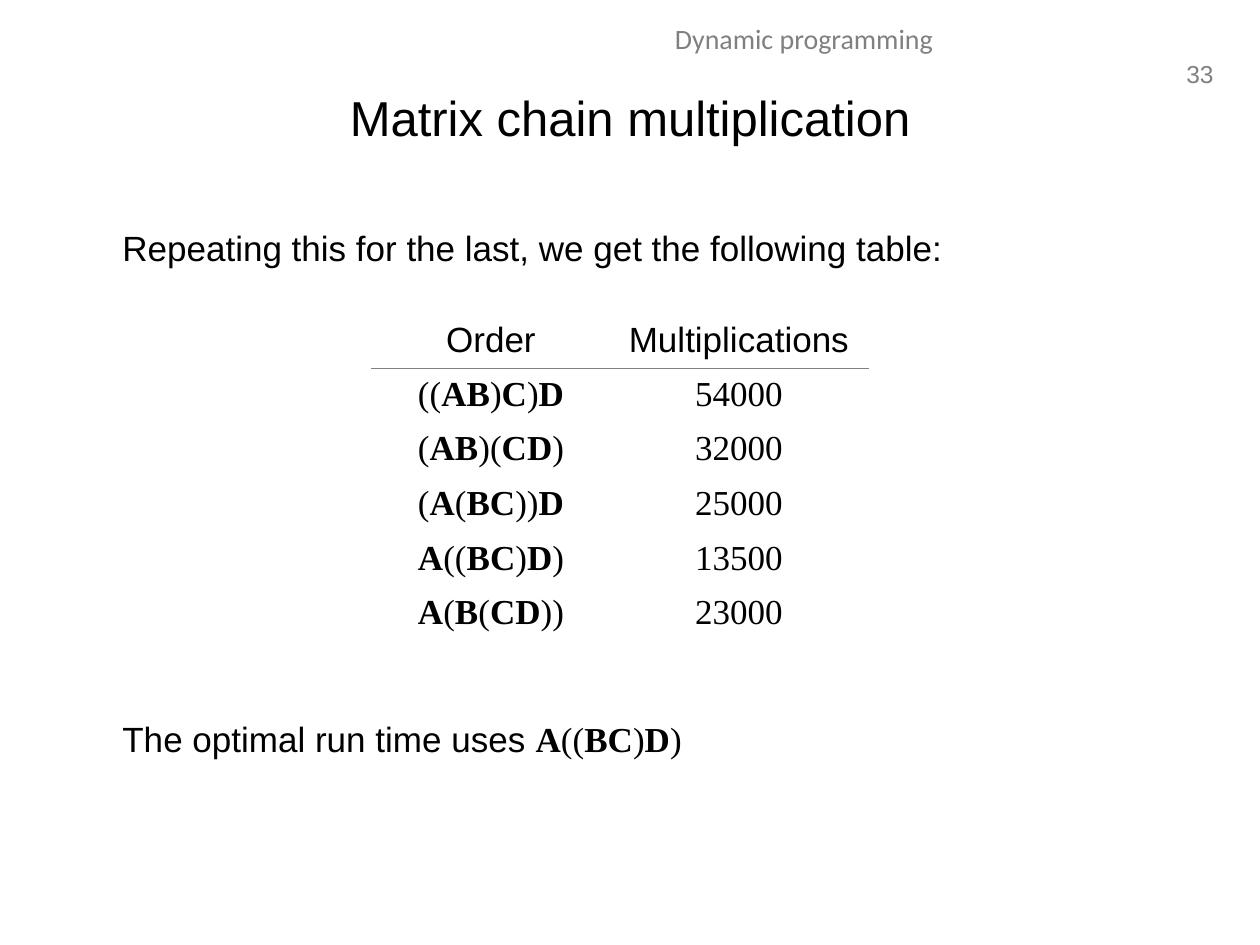
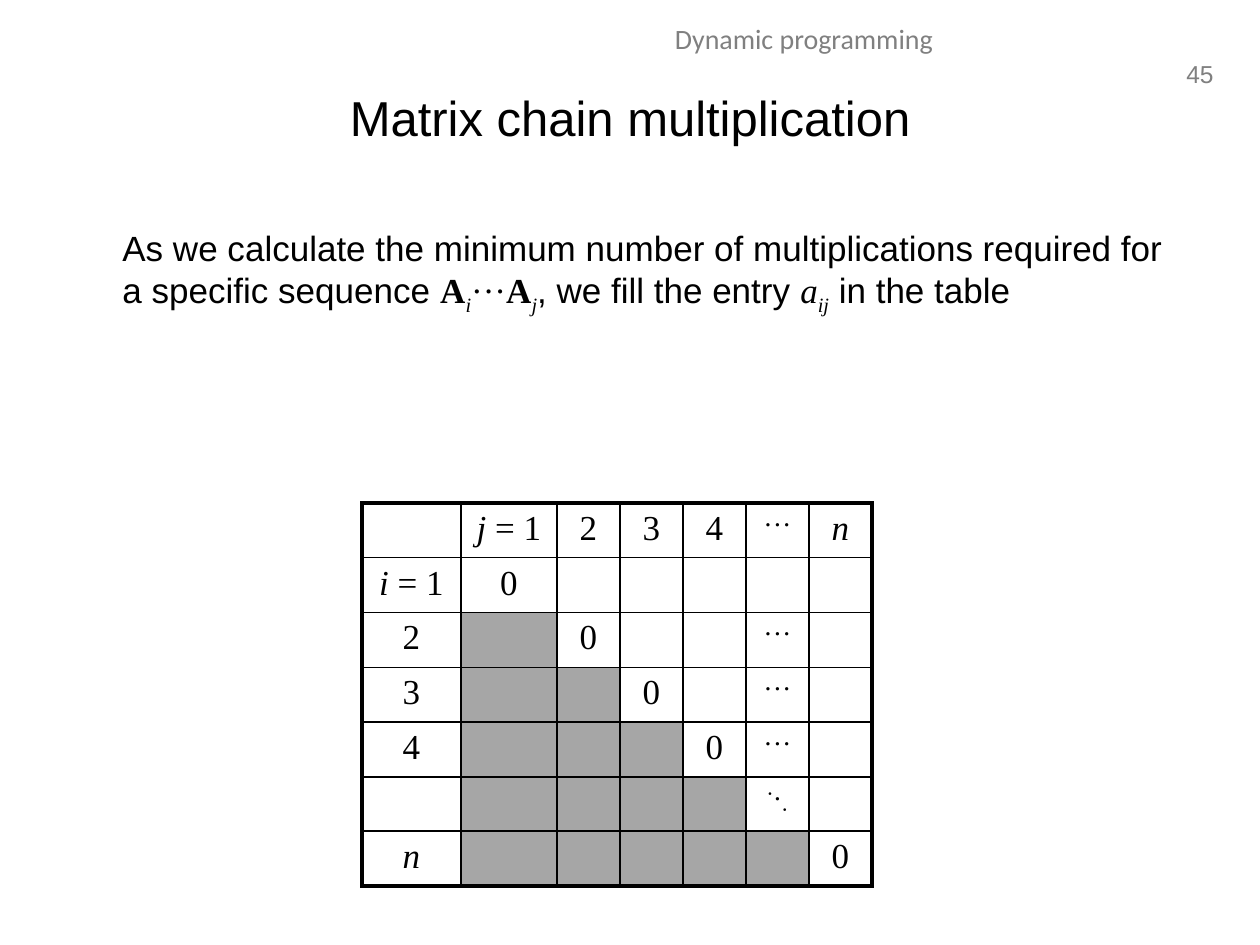
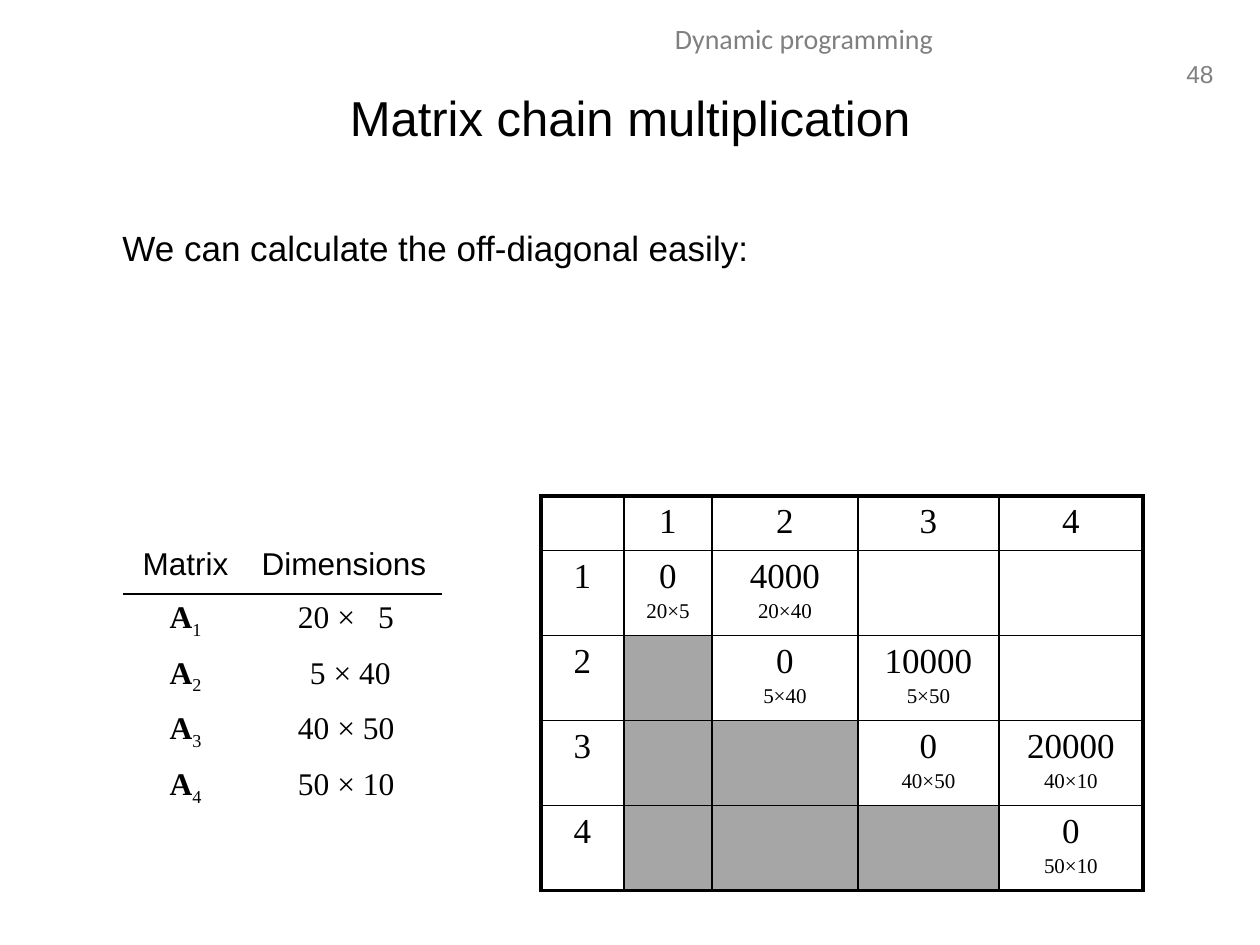
import itertools
from dataclasses import dataclass, field

import pptx
import pptx.dml.color
import pptx.enum.text
import pptx.oxml
import pptx.oxml.ns
import pptx.util

ALIGN = pptx.enum.text.PP_ALIGN
ANCHOR = pptx.enum.text.MSO_ANCHOR
EMU_PER_PX = 914400 / 126


def px(length):
    return pptx.util.Emu(round(length * EMU_PER_PX))


def text_format(name, size, colour="000000", baseline=0, **extra):
    font = {"name": name, "size": pptx.util.Pt(size), **extra}
    return {"font": font, "colour": colour, "baseline": baseline}


def serif(size, **extra):
    return text_format("Times New Roman", size, **extra)


@dataclass
class Theme:
    black: str = "000000"
    grey: str = "808080"
    blocked: str = "A6A6A6"
    thin: float = 1
    thick: float = 2.25
    formats: dict = field(default_factory=lambda: {
        "number": text_format("Arial", 14, "808080"),
        "header": text_format("Calibri", 16, "808080"),
        "title": text_format("Arial", 28),
        "body": text_format("Arial", 20),
        "label": text_format("Arial", 18),
        "math": serif(20),
        "bold": serif(20, bold=True),
        "italic": serif(20, italic=True),
        "subscript": serif(20, italic=True, baseline=-25),
        "dots": serif(16),
        "high dot": serif(16, bold=True, baseline=30),
        "low dot": serif(16, bold=True, baseline=-25),
        "dimension": serif(12),
        "small math": serif(18),
        "small bold": serif(18, bold=True),
        "small index": serif(18, baseline=-25),
    })


class Deck:
    """Holds the theme and the current slide, and draws each kind of element."""

    def __init__(self, theme):
        self.theme = theme
        self.presentation = pptx.Presentation()
        self.presentation.slide_width = px(1260)
        self.presentation.slide_height = px(945)
        self.slide = None

    def new_slide(self, number):
        layout = self.presentation.slide_layouts[6]
        self.slide = self.presentation.slides.add_slide(layout)
        self.text(1171, 53, 55, 42, [[(number, "number")]], ALIGN.RIGHT, word_wrap=False)
        self.text(402, 15, 804, 50, [[("Dynamic programming", "header")]], ALIGN.CENTER)
        self.text(63, 38, 1134, 158, [[("Matrix chain multiplication", "title")]],
                  ALIGN.CENTER, vertical_anchor=ANCHOR.MIDDLE)

    def fill_text(self, frame, paragraphs, align, gap):
        """Each paragraph is a list of (text, format name) runs."""
        for index, runs in enumerate(paragraphs):
            paragraph = frame.add_paragraph() if index else frame.paragraphs[0]
            paragraph.alignment = align
            if index:
                paragraph.space_before = pptx.util.Pt(gap)
            for text, name in runs:
                run = paragraph.add_run()
                run.text = text
                style = self.theme.formats[name]
                for attribute, value in style["font"].items():
                    setattr(run.font, attribute, value)
                run.font.color.rgb = pptx.dml.color.RGBColor.from_string(style["colour"])
                if style["baseline"]:
                    run._r.get_or_add_rPr().set("baseline", str(style["baseline"] * 1000))

    def text(self, left, top, width, height, paragraphs, align=ALIGN.LEFT, gap=0, **frame_format):
        shape = self.slide.shapes.add_textbox(px(left), px(top), px(width), px(height))
        for attribute, value in {"word_wrap": True, **frame_format}.items():
            setattr(shape.text_frame, attribute, value)
        self.fill_text(shape.text_frame, paragraphs, align, gap)

    def body(self, *paragraphs, gap=0):
        self.text(110, 220, 1087, 624, paragraphs, gap=gap)

    def table(self, left, top, columns, rows, contents):
        frame = self.slide.shapes.add_table(
            len(rows), len(columns), px(left), px(top), px(sum(columns)), px(sum(rows)))
        table = frame.table
        table.first_row = table.horz_banding = False
        for column, width in zip(table.columns, columns):
            column.width = px(width)
        for row, height in zip(table.rows, rows):
            row.height = px(height)
        for cell, paragraphs in zip(table.iter_cells(), itertools.chain(*contents)):
            self.fill_text(cell.text_frame, paragraphs, ALIGN.CENTER, 2.4)
            cell.fill.background()
        return table

    def border(self, cell, colour, **widths):
        """Widths are given by side, in the order L, R, T, B."""
        properties = cell._tc.get_or_add_tcPr()
        for index, (side, width) in enumerate(widths.items()):
            properties.insert(index, pptx.oxml.parse_xml(
                f'<a:ln{side} {pptx.oxml.ns.nsdecls("a")} w="{int(width * 12700)}">'
                f'<a:solidFill><a:srgbClr val="{colour}"/></a:solidFill></a:ln{side}>'))

    def ruled_table(self, left, top, columns, rows, contents, colour):
        """A table whose only line is under its header."""
        table = self.table(left, top, columns, rows, contents)
        for column in range(len(columns)):
            self.border(table.cell(0, column), colour, B=self.theme.thin)
            self.border(table.cell(1, column), colour, T=self.theme.thin)
        return table

    def cost_grid(self, left, top, columns, rows, contents):
        """A framed grid with the cells below the diagonal blocked out."""
        table = self.table(left, top, columns, rows, contents)
        thin, thick = self.theme.thin, self.theme.thick
        last_row, last_column = len(rows) - 1, len(columns) - 1
        for row, column in itertools.product(range(len(rows)), range(len(columns))):
            cell = table.cell(row, column)
            self.border(cell, self.theme.black,
                        L=thin if column else thick,
                        R=thin if column < last_column else thick,
                        T=thin if row else thick,
                        B=thin if row < last_row else thick)
            if 0 < column < row:
                cell.fill.solid()
                cell.fill.fore_color.rgb = pptx.dml.color.RGBColor.from_string(self.theme.blocked)


# Contents of cells
EMPTY = []
DOTS = [[("···", "dots")]]


def plain(text, name="math"):
    return [[(text, name)]]


def product(expression):
    """Matrix names are bold, parentheses are not."""
    return [("".join(group), "bold" if is_name else "math")
            for is_name, group in itertools.groupby(expression, str.isalpha)]


def cost(value, dimensions):
    return [[(value, "math")], [(dimensions, "dimension")]]


def order_slide(deck):
    deck.new_slide("33")
    deck.body([("Repeating this for the last, we get the following table:", "body")],
              [("The optimal run time uses ", "body"), *product("A((BC)D)")], gap=257)
    orders = {"((AB)C)D": "54000", "(AB)(CD)": "32000", "(A(BC))D": "25000",
              "A((BC)D)": "13500", "A(B(CD))": "23000"}
    contents = [[plain("Order", "body"), plain("Multiplications", "body")]]
    contents += [[[product(order)], plain(count)] for order, count in orders.items()]
    deck.ruled_table(372, 314, [238, 258], [48] * 6, contents, deck.theme.grey)


def entries_slide(deck):
    deck.new_slide("45")
    deck.body([
        ("As we calculate the minimum number of multiplications required for "
         "a specific sequence ", "body"),
        ("A", "bold"), ("i", "subscript"), ("···", "math"), ("A", "bold"), ("j", "subscript"),
        (", we fill the entry ", "body"), ("a", "italic"), ("ij", "subscript"),
        (" in the table", "body")])
    numbers = [plain(text) for text in "234"]
    last = plain("n", "italic")
    falling_dots = [[("·", "high dot"), ("·", "dots"), ("·", "low dot")]]
    column_heads = [[[("j ", "italic"), ("= 1", "math")]], *numbers, DOTS, last]
    row_heads = [[[("i", "italic"), (" = 1", "math")]], *numbers, EMPTY, last]
    contents = [[EMPTY, *column_heads]]
    for row, head in enumerate(row_heads):
        cells = [EMPTY] * 6
        if row in (1, 2, 3):
            cells[4] = DOTS
        cells[row] = falling_dots if row == 4 else plain("0")
        contents.append([head, *cells])
    deck.cost_grid(362, 503, [99, 96] + [63] * 5, [54] + [54, 55] * 3, contents)


def off_diagonal_slide(deck):
    deck.new_slide("48")
    deck.body([("We can calculate the off-diagonal easily:", "body")])

    # Costs of the sub-products
    costs = {(1, 1): cost("0", "20×5"), (1, 2): cost("4000", "20×40"),
             (2, 2): cost("0", "5×40"), (2, 3): cost("10000", "5×50"),
             (3, 3): cost("0", "40×50"), (3, 4): cost("20000", "40×10"),
             (4, 4): cost("0", "50×10")}
    indices = range(1, 5)
    contents = [[EMPTY, *(plain(str(column)) for column in indices)]]
    contents += [[plain(str(row)), *(costs.get((row, column), EMPTY) for column in indices)]
                 for row in indices]
    deck.cost_grid(541, 496, [83, 88, 146, 141, 144], [54] + [85] * 4, contents)

    # Dimensions, lined up on their digits
    dimensions = ["20 ×\t5", "5 × 40", "40 × 50", "50 × 10"]
    contents = [[plain("Matrix", "label"), plain("Dimensions", "label")]]
    contents += [[[[("A", "small bold"), (str(index), "small index")]], plain(text, "small math")]
                 for index, text in enumerate(dimensions, 1)]
    table = deck.ruled_table(124, 541, [123, 194], [53] + [54] * 4, contents, deck.theme.black)
    for row, text in enumerate(dimensions, 1):
        cell = table.cell(row, 1)
        cell.margin_left = px(63 if text.startswith("5 ") else 51)
        paragraph = cell.text_frame.paragraphs[0]
        paragraph.alignment = ALIGN.LEFT
        if "\t" in text:
            paragraph._p.get_or_add_pPr().append(pptx.oxml.parse_xml(
                f'<a:tabLst {pptx.oxml.ns.nsdecls("a")}><a:tab pos="{px(96)}" algn="r"/></a:tabLst>'))


def main():
    deck = Deck(Theme())
    order_slide(deck)
    entries_slide(deck)
    off_diagonal_slide(deck)
    deck.presentation.save("out.pptx")


if __name__ == "__main__":
    main()
